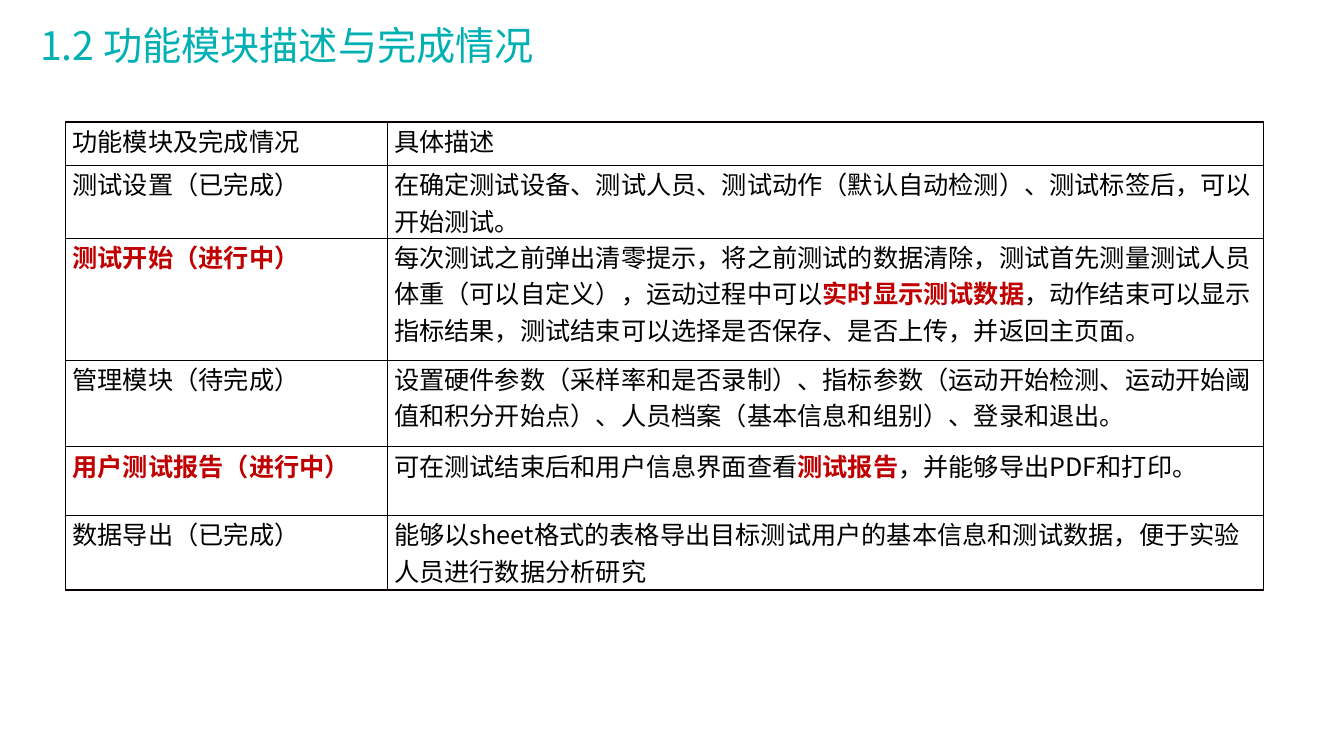
from lxml import etree
from pptx import Presentation
from pptx.dml.color import RGBColor
from pptx.enum.text import MSO_AUTO_SIZE
from pptx.oxml.ns import qn
from pptx.util import Inches, Pt

SHAPE_TO_FIT = MSO_AUTO_SIZE.SHAPE_TO_FIT_TEXT
FONT = "Noto Sans CJK SC"
COLORS = {"title": "01B0B3", "text": "000000", "alert": "C00000", "border": "080000"}
COL_WIDTHS = [3.19, 8.69]
ROW_HEIGHTS = [0.43, 0.69, 1.21, 0.86, 0.68, 0.74]

MODULES = [
    ([("功能模块及完成情况", False)], [("具体描述", False)]),
    ([("测试设置（已完成）", False)],
     [("在确定测试设备、测试人员、测试动作（默认自动检测）、测试标签后，可以开始测试。", False)]),
    ([("测试开始（进行中）", True)],
     [("每次测试之前弹出清零提示，将之前测试的数据清除，测试首先测量测试人员体重（可以自定义），运动过程中可以", False),
      ("实时显示测试数据", True),
      ("，动作结束可以显示指标结果，测试结束可以选择是否保存、是否上传，并返回主页面。", False)]),
    ([("管理模块（待完成）", False)],
     [("设置硬件参数（采样率和是否录制）、指标参数（运动开始检测、运动开始阈值和积分开始点）、人员档案（基本信息和组别）、登录和退出。", False)]),
    ([("用户测试报告（进行中）", True)],
     [("可在测试结束后和用户信息界面查看", False),
      ("测试报告", True),
      ("，并能够导出PDF和打印。", False)]),
    ([("数据导出（已完成）", False)],
     [("能够以sheet格式的表格导出目标测试用户的基本信息和测试数据，便于实验人员进行数据分析研究", False)]),
]


def add_run(p, text, size, color, bold=False):
    r = p.add_run()
    r.text = text
    r.font.size = Pt(size)
    r.font.bold = bold
    r.font.name = FONT
    r.font.color.rgb = RGBColor.from_string(COLORS[color])
    etree.SubElement(r.font._element, qn("a:ea"), typeface=FONT)


def add_title(slide, text):
    box = slide.shapes.add_textbox(Inches(0.3), Inches(0.16), Inches(5.84), Inches(0.57))
    tf = box.text_frame
    tf.word_wrap = True
    tf.auto_size = SHAPE_TO_FIT
    add_run(tf.paragraphs[0], text, 28, "title")


def set_borders(cell):
    tcPr = cell._tc.get_or_add_tcPr()
    for i, side in enumerate(("lnL", "lnR", "lnT", "lnB")):
        ln = etree.Element(qn(f"a:{side}"), w=str(Pt(1)))
        fill = etree.SubElement(ln, qn("a:solidFill"))
        etree.SubElement(fill, qn("a:srgbClr"), val=COLORS["border"])
        tcPr.insert(i, ln)


def fill_cell(cell, runs):
    cell.margin_left = cell.margin_right = Inches(0.07)
    cell.margin_top = cell.margin_bottom = 0
    cell.fill.background()
    set_borders(cell)
    p = cell.text_frame.paragraphs[0]
    for text, highlighted in runs:
        add_run(p, text, 18, "alert" if highlighted else "text", highlighted)


def add_module_table(slide):
    frame = slide.shapes.add_table(
        len(MODULES), len(COL_WIDTHS), Inches(0.65), Inches(1.21),
        Inches(sum(COL_WIDTHS)), Inches(sum(ROW_HEIGHTS)))
    table = frame.table
    table.first_row = table.horz_banding = False
    for column, width in zip(table.columns, COL_WIDTHS):
        column.width = Inches(width)
    for row, height, contents in zip(table.rows, ROW_HEIGHTS, MODULES):
        row.height = Inches(height)
        for cell, runs in zip(row.cells, contents):
            fill_cell(cell, runs)


def main():
    prs = Presentation()
    prs.slide_width = Inches(13.33)
    prs.slide_height = Inches(7.5)
    slide = prs.slides.add_slide(prs.slide_layouts[6])
    add_module_table(slide)
    add_title(slide, "1.2 功能模块描述与完成情况")
    prs.save("out.pptx")


if __name__ == "__main__":
    main()
